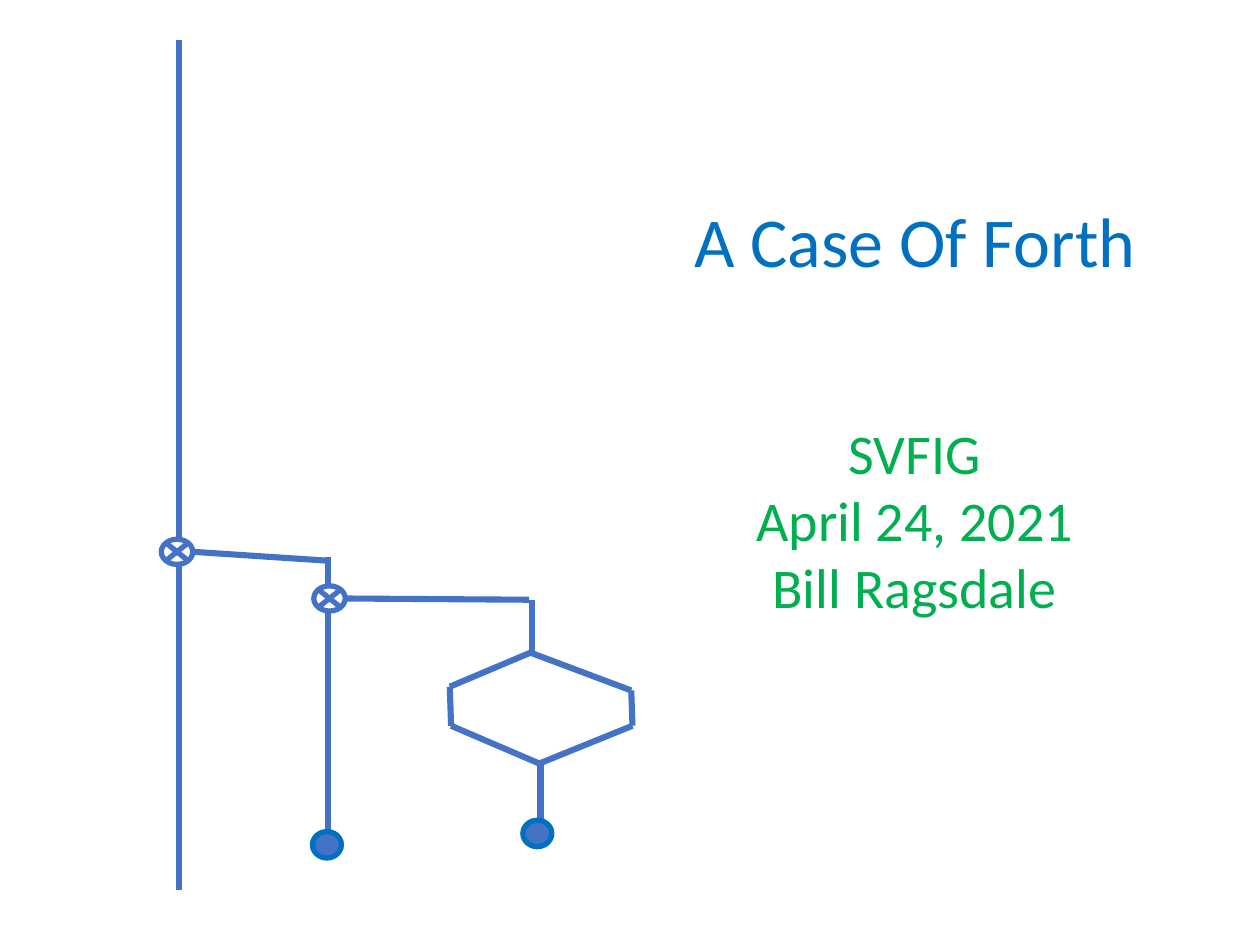
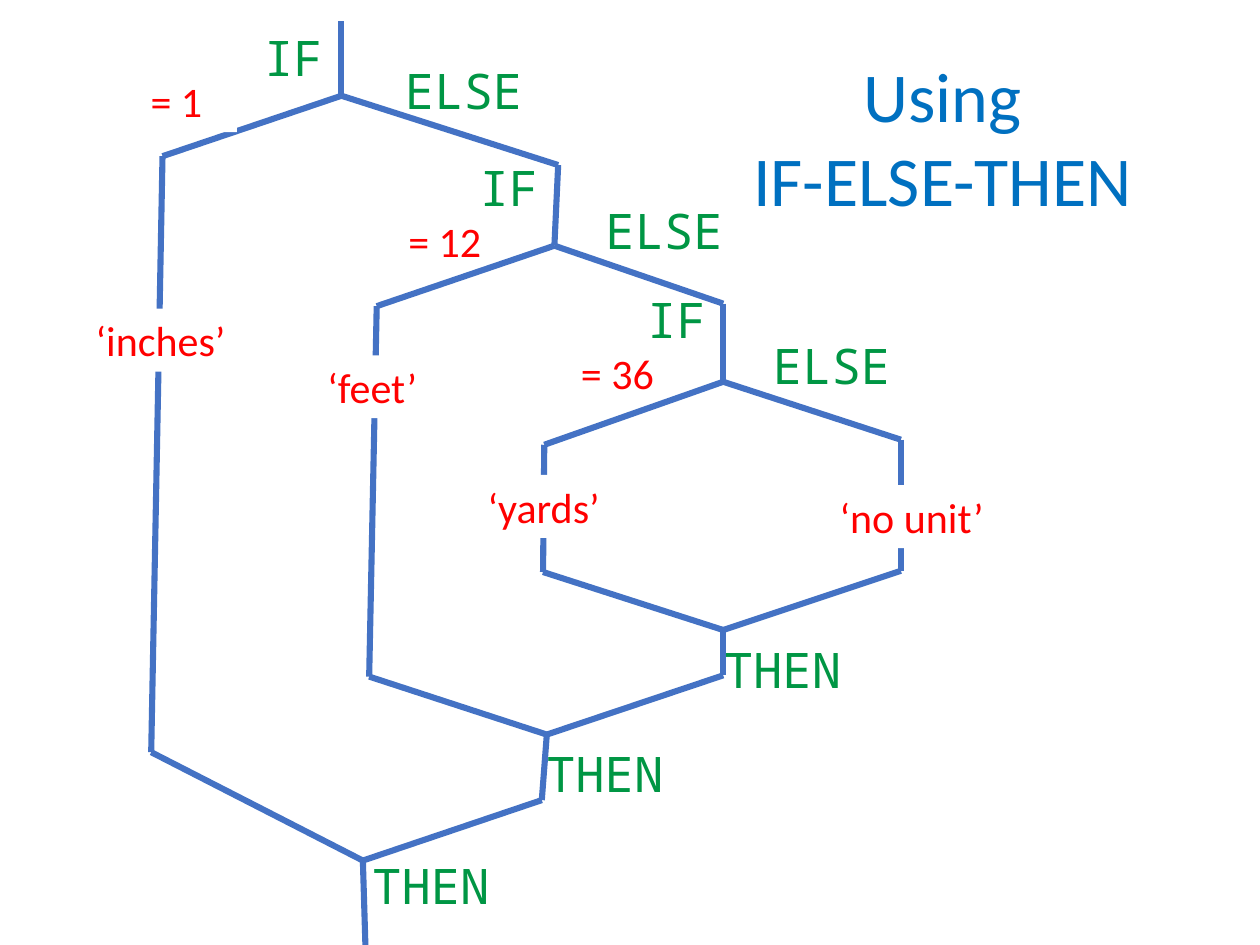
from dataclasses import dataclass
from itertools import pairwise

from lxml import etree
from pptx import Presentation
from pptx import util as u
from pptx.dml.color import RGBColor
from pptx.enum import shapes, text
from pptx.oxml.ns import qn

COLUMNS, ROWS = 10, 7.5


@dataclass(frozen=True)
class Theme:
    flow: str = "4472C4"
    title: str = "0070C0"
    byline: str = "00B050"
    keyword: str = "009644"
    value: str = "FF0000"
    paper: str = "FFFFFF"
    font: str = "Calibri"
    code_font: str = "Noto Sans Mono"
    title_size: float = 40
    byline_size: float = 32
    keyword_size: float = 28
    value_size: float = 24
    flow_width: float = 3.5
    node_width: float = 3


THEME = Theme()

deck = Presentation()
deck.slide_width, deck.slide_height = u.Inches(10), u.Inches(7.5)
COLUMN, ROW = deck.slide_width / COLUMNS, deck.slide_height / ROWS


@dataclass(frozen=True)
class Box:
    """A region in grid columns and rows."""
    left: float
    top: float
    width: float
    height: float

    def inner(self, at, size):
        return Box(self.left + at[0], self.top + at[1], *size)

    def point(self, at):
        return int((self.left + at[0]) * COLUMN), int((self.top + at[1]) * ROW)

    def frame(self):
        return (*self.point((0, 0)), int(self.width * COLUMN), int(self.height * ROW))


@dataclass(frozen=True)
class Branch:
    """One IF-ELSE-THEN: its corners and labels, in columns and rows of the diagram."""
    fork: tuple
    left_top: tuple
    right_top: tuple
    left_bottom: tuple
    right_bottom: tuple
    join: tuple
    keywords: dict
    condition: str
    condition_at: tuple
    condition_width: float
    outcome: str
    outcome_at: tuple
    condition_in_front: bool = False


KEYWORD_SIZE = (1.14, 0.57)
OUTCOME_SIZE = (1.55, 0.5)

BRANCHES = [
    Branch((2.21, 0.59), (0.79, 1.07), (3.93, 1.14), (0.7, 5.8), (3.8, 6.18), (2.38, 6.66),
           {"IF": (1.26, 0), "ELSE": (2.61, 0.26), "THEN": (2.35, 6.57)},
           "= 1", (0.42, 0.38), 0.96, "‘inches’", (0, 2.28), condition_in_front=True),
    Branch((3.9, 1.78), (2.49, 2.26), (5.24, 2.24), (2.43, 5.2), (5.24, 5.19), (3.84, 5.66),
           {"IF": (2.97, 1.03), "ELSE": (4.2, 1.37), "THEN": (3.73, 5.68)},
           "= 12", (2.49, 1.49), 1.08, "‘feet’", (1.68, 2.65)),
    Branch((5.24, 2.86), (3.82, 3.36), (6.65, 3.32), (3.81, 4.37), (6.65, 4.36), (5.24, 4.83),
           {"IF": (4.3, 2.08), "ELSE": (5.53, 2.44), "THEN": (5.14, 4.86)},
           "= 36", (3.86, 2.54), 1.08, "‘yards’", (3.04, 3.6)),
]


# Shared parts

def flow(slide, box, *corners):
    """Straight lines through the corners."""
    for start, end in pairwise(corners):
        line = slide.shapes.add_connector(
            shapes.MSO_CONNECTOR.STRAIGHT, *box.point(start), *box.point(end))
        line.line.color.rgb = RGBColor.from_string(THEME.flow)
        line.line.width = u.Pt(THEME.flow_width)
        etree.SubElement(line._element.spPr, qn("a:effectLst"))


def solid(slide, kind, box, fill, outline=None):
    shape = slide.shapes.add_shape(kind, *box.frame())
    shape.shadow.inherit = False
    shape.fill.solid()
    shape.fill.fore_color.rgb = RGBColor.from_string(fill)
    if outline:
        shape.line.color.rgb = RGBColor.from_string(outline)
        shape.line.width = u.Pt(THEME.node_width)
    else:
        shape.line.fill.background()
    return shape


def write(shape, lines, size, color, font=THEME.font):
    """Centred paragraphs of one style."""
    frame = shape.text_frame
    frame.word_wrap = True
    frame.auto_size = text.MSO_AUTO_SIZE.SHAPE_TO_FIT_TEXT
    frame.text = "\n".join(lines)
    for paragraph in frame.paragraphs:
        paragraph.alignment = text.PP_ALIGN.CENTER
        paragraph.font.size = u.Pt(size)
        paragraph.font.name = font
        paragraph.font.color.rgb = RGBColor.from_string(color)
    return frame


def title(slide, box, *lines):
    return write(slide.shapes.add_textbox(*box.frame()), lines, THEME.title_size, THEME.title)


def value(slide, box, words):
    plate = solid(slide, shapes.MSO_SHAPE.RECTANGLE, box, THEME.paper)
    write(plate, [words], THEME.value_size, THEME.value)


def keyword(slide, box, word):
    write(slide.shapes.add_textbox(*box.frame()), [word],
          THEME.keyword_size, THEME.keyword, THEME.code_font)


# Opening slide

def case_emblem(slide, box):
    # Main line, the two side tracks and the loop
    flow(slide, box, (0.14, 0), (0.14, box.height))
    flow(slide, box, (0.26, 4.06), (1.32, 4.13))
    flow(slide, box, (1.32, 4.1), (1.32, 6.3))
    flow(slide, box, (1.46, 4.43), (2.92, 4.44))
    flow(slide, box, (2.94, 4.44), (2.94, 4.87))
    flow(slide, box, (2.93, 4.86), (3.73, 5.16), (3.74, 5.44), (3, 5.74),
         (2.3, 5.44), (2.29, 5.13), (2.93, 4.86))
    flow(slide, box, (3.01, 5.74), (3.01, 6.3))
    # Switches and ends
    for switch in [(0, 3.96), (1.21, 4.33)]:
        solid(slide, shapes.MSO_SHAPE.FLOWCHART_SUMMING_JUNCTION,
              box.inner(switch, (0.25, 0.2)), THEME.paper, THEME.flow)
    for stop in [(1.2, 6.28), (2.87, 6.19)]:
        solid(slide, shapes.MSO_SHAPE.OVAL,
              box.inner(stop, (0.23, 0.21)), THEME.flow, THEME.title)


def opening_text(slide, box):
    frame = title(slide, box, "A Case Of Forth", "SVFIG", "April 24, 2021", "Bill Ragsdale")
    heading, *byline = frame.paragraphs
    heading.space_after = u.Pt(78)
    for paragraph in byline:
        paragraph.font.size = u.Pt(THEME.byline_size)
        paragraph.font.color.rgb = RGBColor.from_string(THEME.byline)


# Nested conditions

def branch_lines(slide, box, branch, entry, way_out):
    flow(slide, box, entry, branch.fork)
    flow(slide, box, branch.fork, branch.left_top, branch.left_bottom, branch.join)
    flow(slide, box, branch.fork, branch.right_top)
    flow(slide, box, branch.right_bottom, branch.join)
    flow(slide, box, branch.join, way_out)


def nested_branches(slide, box):
    entry, way_out = (2.21, 0), (2.4, box.height)
    for branch in BRANCHES:
        condition = box.inner(branch.condition_at, (branch.condition_width, 0.5))
        if not branch.condition_in_front:
            value(slide, condition, branch.condition)
        branch_lines(slide, box, branch, entry, way_out)
        if branch.condition_in_front:
            value(slide, condition, branch.condition)
        value(slide, box.inner(branch.outcome_at, OUTCOME_SIZE), branch.outcome)
        # The next branch hangs in the right arm of this one
        entry, way_out = branch.right_top, branch.right_bottom
    # Last right arm: no match
    flow(slide, box, entry, way_out)
    value(slide, box.inner((5.96, 3.68), OUTCOME_SIZE), "‘no unit’")
    # Keywords
    for branch in BRANCHES:
        for word, at in branch.keywords.items():
            keyword(slide, box.inner(at, KEYWORD_SIZE), word)


blank = deck.slide_layouts[6]

opening = deck.slides.add_slide(blank)
case_emblem(opening, Box(1.28, 0.32, 3.74, 6.74))
opening_text(opening, Box(5.07, 1.52, 4.38, 3.47))

conditions = deck.slides.add_slide(blank)
title(conditions, Box(5.75, 0.37, 3.46, 1.45), "Using\vIF-ELSE-THEN")
nested_branches(conditions, Box(0.5, 0.17, 7.51, 7.33))

deck.save("out.pptx")
